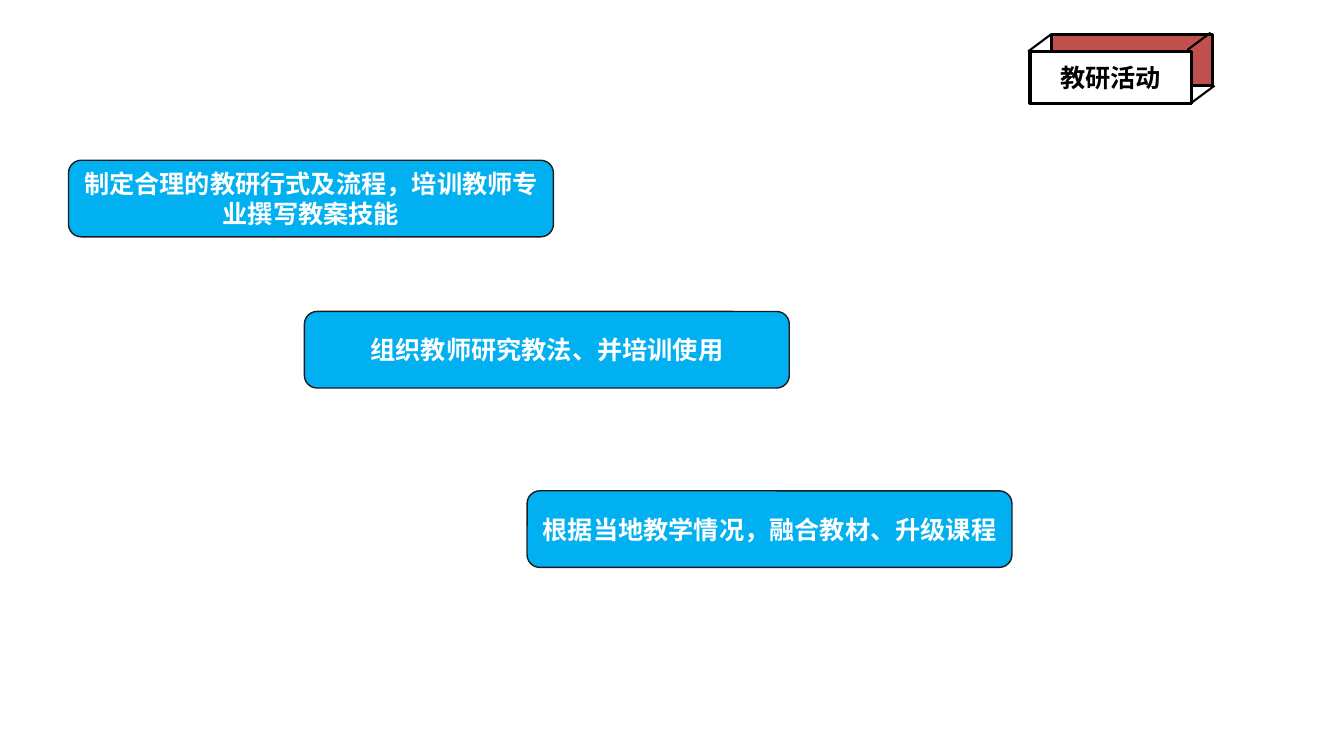
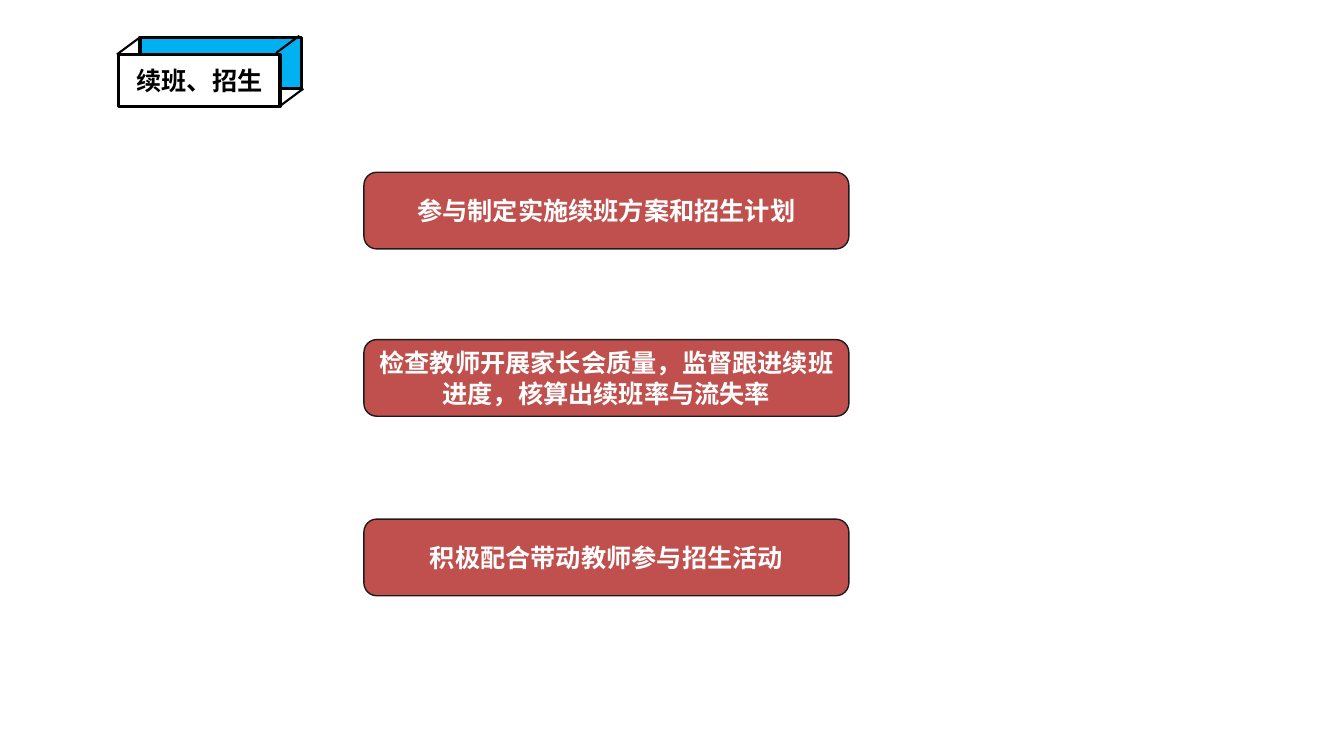
from dataclasses import dataclass

from lxml.etree import SubElement
from pptx import Presentation
from pptx.dml.color import RGBColor
from pptx.enum.shapes import MSO_CONNECTOR, MSO_SHAPE
from pptx.enum.text import MSO_ANCHOR, MSO_AUTO_SIZE, PP_ALIGN
from pptx.oxml.ns import qn
from pptx.presentation import Presentation as Deck
from pptx.shapes.autoshape import Shape
from pptx.slide import Slide
from pptx.util import Inches, Pt

SLIDE_WIDTH = Inches(13.33)
SLIDE_HEIGHT = Inches(7.5)
TITLE_ONLY_LAYOUT = 5


@dataclass(frozen=True)
class Theme:
    font: str = "Noto Sans CJK SC"
    text_size: float = 18
    blue: str = "00B0F0"
    red: str = "C0504D"
    white: str = "FFFFFF"
    black: str = "000000"
    card_border: str = "1C1C1C"
    sign_border_width: float = 2.25
    sign_edge_width: float = 1.5
    card_border_width: float = 1


THEME = Theme()


@dataclass(frozen=True)
class Point:
    """A place or an extent, in percent of the slide's width and height."""

    x: float
    y: float

    def __add__(self, other: "Point") -> "Point":
        return Point(self.x + other.x, self.y + other.y)

    def lengths(self) -> tuple[int, int]:
        return round(SLIDE_WIDTH * self.x / 100), round(SLIDE_HEIGHT * self.y / 100)


@dataclass(frozen=True)
class Card:
    corner: Point
    text: str


@dataclass(frozen=True)
class Page:
    title: str
    sign_corner: Point
    sign_color: str
    card_color: str
    cards: tuple[Card, ...]


SIGN_SIZE = Point(12, 6.8)
SIGN_FRONT_OFFSET = Point(-1.58, 2.33)
SIGN_EDGE_STARTS = (Point(0, 0), Point(11.85, -0.2), Point(12.15, 6.8))
SIGN_EDGE_SPAN = Point(-1.72, 2.27)
CARD_SIZE = Point(36.08, 10.13)
CENTER_CARD_LEFT = 27.08

PAGES = (
    Page(
        "教研活动",
        Point(78.22, 4.53),
        THEME.red,
        THEME.blue,
        (
            Card(Point(5.1, 21.2), "制定合理的教研行式及流程，培训教师专业撰写教案技能"),
            Card(Point(22.65, 41.2), "组织教师研究教法、并培训使用"),
            Card(Point(39.22, 64.93), "根据当地教学情况，融合教材、升级课程"),
        ),
    ),
    Page(
        "续班、招生",
        Point(10.42, 4.93),
        THEME.blue,
        THEME.red,
        (
            Card(Point(CENTER_CARD_LEFT, 22.8), "参与制定实施续班方案和招生计划"),
            Card(
                Point(CENTER_CARD_LEFT, 44.93),
                "检查教师开展家长会质量，监督跟进续班进度，核算出续班率与流失率",
            ),
            Card(Point(CENTER_CARD_LEFT, 68.67), "积极配合带动教师参与招生活动"),
        ),
    ),
)


def paint(box: Shape, fill: str, border: str, border_width: float) -> None:
    box.shadow.inherit = False
    box.fill.solid()
    box.fill.fore_color.rgb = RGBColor.from_string(fill)
    box.line.color.rgb = RGBColor.from_string(border)
    box.line.width = Pt(border_width)


def write(box: Shape, text: str, color: str) -> None:
    frame = box.text_frame
    frame.word_wrap = True
    frame.auto_size = MSO_AUTO_SIZE.NONE
    frame.vertical_anchor = MSO_ANCHOR.MIDDLE
    para = frame.paragraphs[0]
    para.alignment = PP_ALIGN.CENTER
    span = para.add_run()
    span.text = text
    span.font.size = Pt(THEME.text_size)
    span.font.bold = True
    span.font.color.rgb = RGBColor.from_string(color)
    span.font.name = THEME.font
    east_asian = SubElement(span.font._element, qn("a:ea"))
    east_asian.set("typeface", THEME.font)


def add_box(slide: Slide, kind: MSO_SHAPE, corner: Point, size: Point) -> Shape:
    return slide.shapes.add_shape(kind, *corner.lengths(), *size.lengths())


def add_edge(slide: Slide, start: Point, end: Point) -> None:
    edge = slide.shapes.add_connector(
        MSO_CONNECTOR.STRAIGHT, *start.lengths(), *end.lengths()
    )
    edge.line.color.rgb = RGBColor.from_string(THEME.black)
    edge.line.width = Pt(THEME.sign_edge_width)
    SubElement(edge.element.spPr, qn("a:effectLst"))


def add_title_sign(slide: Slide, page: Page) -> None:
    """Draw a box in depth whose front face is the slide's title."""
    back = add_box(slide, MSO_SHAPE.RECTANGLE, page.sign_corner, SIGN_SIZE)
    paint(back, page.sign_color, THEME.black, THEME.sign_border_width)

    front = slide.shapes.title
    front.left, front.top = (page.sign_corner + SIGN_FRONT_OFFSET).lengths()
    front.width, front.height = SIGN_SIZE.lengths()
    paint(front, THEME.white, THEME.black, THEME.sign_border_width)
    write(front, page.title, THEME.black)
    back.element.addnext(front.element)

    for offset in SIGN_EDGE_STARTS:
        start = page.sign_corner + offset
        add_edge(slide, start, start + SIGN_EDGE_SPAN)


def add_card(slide: Slide, card: Card, color: str) -> None:
    box = add_box(slide, MSO_SHAPE.ROUNDED_RECTANGLE, card.corner, CARD_SIZE)
    paint(box, color, THEME.card_border, THEME.card_border_width)
    write(box, card.text, THEME.white)


def add_page(deck: Deck, page: Page) -> None:
    slide = deck.slides.add_slide(deck.slide_layouts[TITLE_ONLY_LAYOUT])
    add_title_sign(slide, page)
    for card in page.cards:
        add_card(slide, card, page.card_color)


def main() -> None:
    deck = Presentation()
    deck.slide_width = SLIDE_WIDTH
    deck.slide_height = SLIDE_HEIGHT
    for page in PAGES:
        add_page(deck, page)
    deck.save("out.pptx")


if __name__ == "__main__":
    main()
